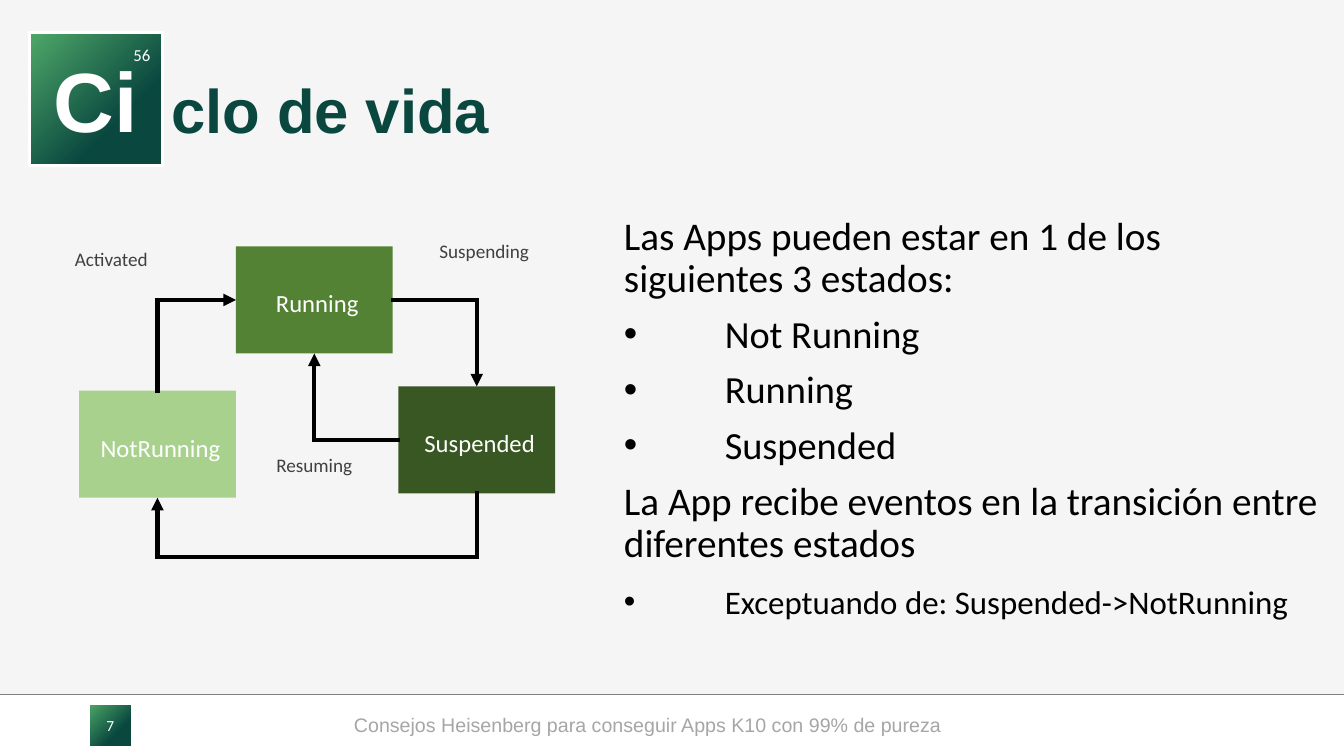
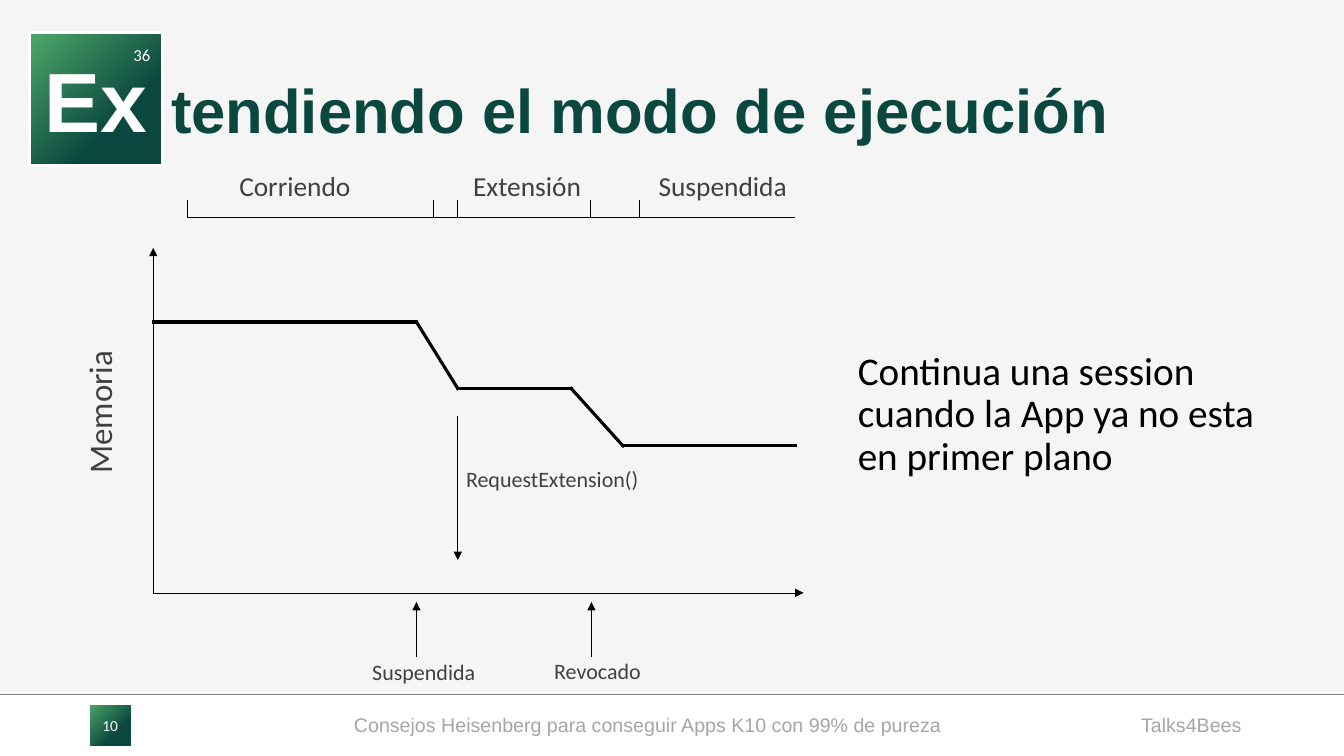
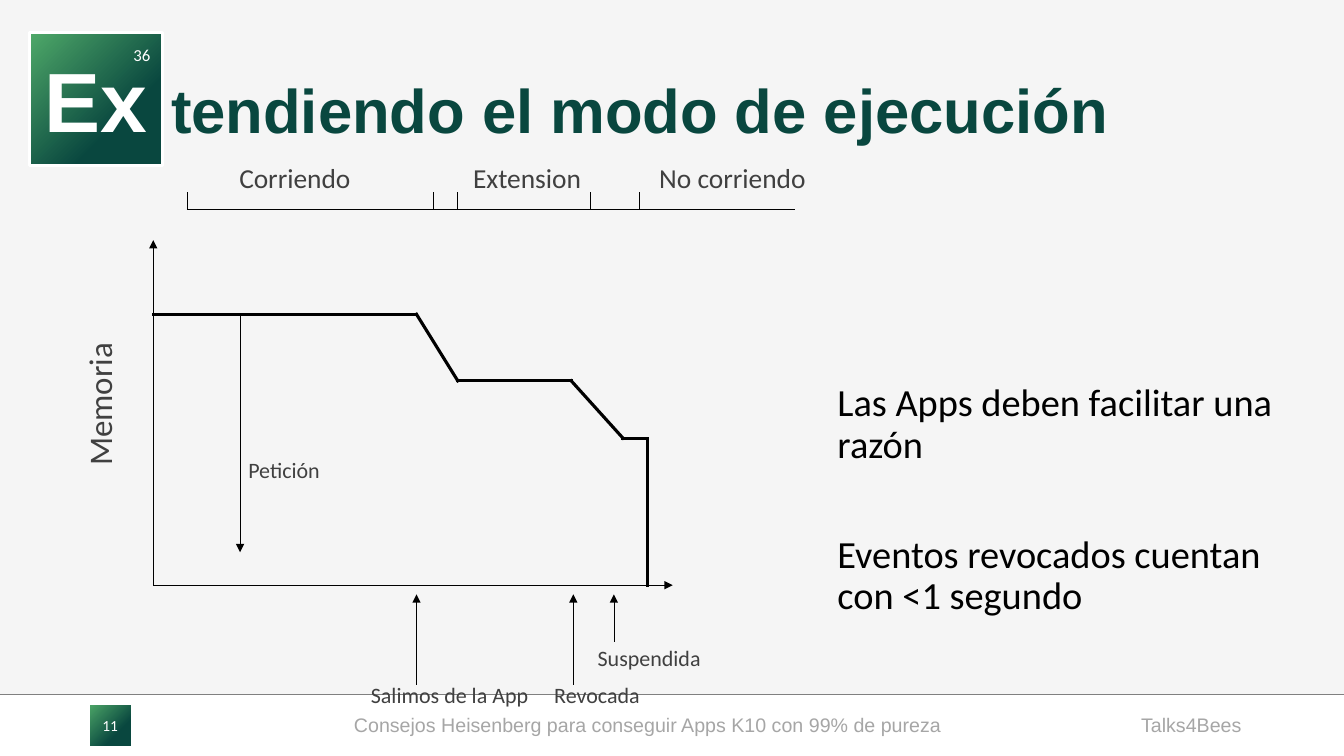
from itertools import pairwise

from lxml import etree
from pptx import Presentation
from pptx.dml.color import RGBColor
from pptx.enum import shapes, text
from pptx.oxml import ns
from pptx.util import Pt

BACKGROUND = RGBColor(0xF5, 0xF5, 0xF5)
WHITE = RGBColor(0xFF, 0xFF, 0xFF)
BLACK = RGBColor(0, 0, 0)
RULE_GRAY = RGBColor(0x80, 0x80, 0x80)
FOOTER_GRAY = RGBColor(0xA6, 0xA6, 0xA6)
LABEL_GRAY = RGBColor(0x40, 0x40, 0x40)
DARK_TEAL = RGBColor(0x09, 0x47, 0x3F)
LEAF_GREEN = RGBColor(0x4F, 0xA9, 0x69)
RUNNING_GREEN = RGBColor(0x54, 0x82, 0x35)
SUSPENDED_GREEN = RGBColor(0x38, 0x57, 0x23)
NOT_RUNNING_GREEN = RGBColor(0xA9, 0xD1, 0x8E)

LEFT, CENTER, RIGHT = text.PP_ALIGN.LEFT, text.PP_ALIGN.CENTER, text.PP_ALIGN.RIGHT
TOP_SIDE, LEFT_SIDE, BOTTOM_SIDE, RIGHT_SIDE = range(4)
SLIDE_W, SLIDE_H = 960, 540
BAND_TOP = 496
INSETS = (7.2, 3.6, 7.2, 3.6)
LABEL_INSETS = (14.4, 11.5, 14.4, 11.5)
FOOTER = "Consejos Heisenberg para conseguir Apps K10 con 99% de pureza"
EVENT = "Talks4Bees"


def pts(*values):
    """Turn numbers into lengths in points."""
    return [Pt(v) for v in values]


def style(p, size, color, font="Calibri", bold=False, align=LEFT):
    """Format a whole paragraph."""
    p.alignment = align
    p.font.size, p.font.name, p.font.bold = Pt(size), font, bold
    p.font.color.rgb = color


def set_frame(tf, insets=INSETS, wrap=True, anchor=text.MSO_ANCHOR.MIDDLE):
    """Set the margins, wrapping and anchor of a text frame."""
    tf.auto_size = text.MSO_AUTO_SIZE.NONE
    tf.word_wrap, tf.vertical_anchor = wrap, anchor
    tf.margin_left, tf.margin_top, tf.margin_right, tf.margin_bottom = pts(*insets)


def add_rect(s, box, fill=None):
    """Add a plain rectangle."""
    sp = s.shapes.add_shape(shapes.MSO_SHAPE.RECTANGLE, *pts(*box))
    sp.shadow.inherit = False
    sp.line.fill.background()
    if fill is not None:
        sp.fill.solid()
        sp.fill.fore_color.rgb = fill
    return sp


def add_text(s, words, box, size, color, font="Calibri", align=LEFT, **frame):
    """Add a text box with one paragraph."""
    sp = s.shapes.add_textbox(*pts(*box))
    set_frame(sp.text_frame, **frame)
    p = sp.text_frame.paragraphs[0]
    p.text = words
    style(p, size, color, font, align=align)
    return sp


def add_label(s, words, box, size):
    """Add a gray diagram label on one line."""
    sp = add_text(s, words, box, size, LABEL_GRAY, insets=LABEL_INSETS, wrap=False,
                  anchor=text.MSO_ANCHOR.TOP)
    sp.text_frame.paragraphs[0].line_spacing = 0.9
    return sp


def add_line(s, start, end, width, color=BLACK, arrow=False):
    """Add a straight line, with an arrowhead at its end if asked."""
    c = s.shapes.add_connector(shapes.MSO_CONNECTOR.STRAIGHT, *pts(*start, *end))
    c.line.width = Pt(width)
    c.line.color.rgb = color
    props = c.element.spPr
    ln = props.find(ns.qn("a:ln"))
    if width > 1:
        ln.set("cap", "sq")
    if arrow:
        etree.SubElement(ln, ns.qn("a:tailEnd"), type="triangle")
    etree.SubElement(props, ns.qn("a:effectLst"))
    return c


def add_route(s, points, width, arrow=False):
    """Add a chain of straight lines and return them."""
    pairs = list(pairwise(points))
    return [add_line(s, a, b, width, arrow=arrow and i == len(pairs) - 1)
            for i, (a, b) in enumerate(pairs)]


def add_tile(s, box, words, size, font="Calibri", bold=False):
    """Add a square with the green gradient and a white border."""
    sp = add_rect(s, box)
    sp.fill.gradient()
    for stop, position, color in zip(sp.fill.gradient_stops, (0.32, 1), (DARK_TEAL, LEAF_GREEN)):
        stop.position, stop.color.rgb = position, color
    grad = sp.element.spPr.find(ns.qn("a:gradFill"))
    grad.remove(grad.find(ns.qn("a:lin")))
    circle = etree.SubElement(grad, ns.qn("a:path"), path="circle")
    etree.SubElement(circle, ns.qn("a:fillToRect"), l="100000", t="100000")
    sp.line.color.rgb = WHITE
    sp.line.width = Pt(2.25)
    set_frame(sp.text_frame, wrap=False)
    p = sp.text_frame.paragraphs[0]
    p.text = words
    style(p, size, WHITE, font, bold, CENTER)


def add_footer(s, number, event):
    """Add the white band with slide number, talk name and event."""
    add_rect(s, (0, BAND_TOP, SLIDE_W, SLIDE_H - BAND_TOP), WHITE)
    add_line(s, (0, BAND_TOP), (SLIDE_W, BAND_TOP), 0.25, RULE_GRAY)
    add_tile(s, (63, 502.5, 31.5, 31.5), number, 11)
    add_text(s, FOOTER, (179.5, 503.5, 566.5, 28.5), 14, FOOTER_GRAY, "Arial", CENTER)
    if event:
        add_text(s, event, (678, 503.5, 216, 28.5), 14, FOOTER_GRAY, "Arial", RIGHT)


def add_heading(s, symbol, atomic_number, rest):
    """Add the element tile and the title that continues it."""
    title = s.shapes.title
    title.left, title.top, title.width, title.height = pts(115, 29, 779, 104)
    set_frame(title.text_frame)
    p = title.text_frame.paragraphs[0]
    p.text = rest
    p.line_spacing = 0.9
    style(p, 44, DARK_TEAL, "Arial", True)
    add_tile(s, (21, 23, 95, 95), symbol, 60, "Arial", True)
    add_text(s, atomic_number, (88, 28, 19.5, 22), 12, WHITE, align=RIGHT,
             insets=(7.2, 3.6, 0, 3.6), wrap=False)


def fill_body(s, box, items):
    """Fill the body with (text, size, space before, bulleted) items."""
    body = s.placeholders[1]
    body.left, body.top, body.width, body.height = pts(*box)
    tf = body.text_frame
    set_frame(tf, anchor=text.MSO_ANCHOR.TOP)
    for i, (words, size, before, bulleted) in enumerate(items):
        p = tf.add_paragraph() if i else tf.paragraphs[0]
        p.text = words
        props = p._p.get_or_add_pPr()
        indent = Pt(72) if bulleted else 0
        props.set("marL", str(indent))
        props.set("indent", str(-indent))
        if bulleted:
            etree.SubElement(props, ns.qn("a:buFont"), typeface="Arial")
            etree.SubElement(props, ns.qn("a:buChar"), char="•")
        else:
            etree.SubElement(props, ns.qn("a:buNone"))
        p.line_spacing = 0.9
        p.space_before, p.space_after = Pt(before), Pt(0)
        style(p, size, BLACK)


def new_slide(prs, number, symbol, atomic_number, rest, event=None):
    """Add a slide with the shared footer and heading."""
    s = prs.slides.add_slide(prs.slide_layouts[1])
    add_footer(s, number, event)
    add_heading(s, symbol, atomic_number, rest)
    return s


def add_state_diagram(s, x, y):
    """Draw the app states and their transitions from a top left corner."""
    w, h = 112, 76.5

    def state(words, dx, dy, fill):
        """Add one state box."""
        sp = add_rect(s, (x + dx, y + dy, w, h), fill)
        set_frame(sp.text_frame, (7.2, 7.2, 2.9, 2.9))
        p = sp.text_frame.paragraphs[0]
        p.text = words
        style(p, 17.6, WHITE, align=CENTER)
        return sp

    running = state("Running", 112, 0, RUNNING_GREEN)
    suspended = state("Suspended", 228, 100, SUSPENDED_GREEN)
    not_running = state("NotRunning", 0, 103, NOT_RUNNING_GREEN)

    run_x, run_y = x + 112 + w / 2, y + h / 2
    sus_x, sus_y = x + 228 + w / 2, y + 100 + h / 2
    not_x, low_y = x + w / 2, y + 222
    transitions = [
        (running, RIGHT_SIDE, suspended, TOP_SIDE,
         [(x + 112 + w, run_y), (sus_x, run_y), (sus_x, y + 100)]),
        (suspended, BOTTOM_SIDE, not_running, BOTTOM_SIDE,
         [(sus_x, y + 100 + h), (sus_x, low_y), (not_x, low_y), (not_x, y + 103 + h)]),
        (not_running, TOP_SIDE, running, LEFT_SIDE,
         [(not_x, y + 103), (not_x, run_y), (x + 112, run_y)]),
        (suspended, LEFT_SIDE, running, BOTTOM_SIDE,
         [(x + 228, sus_y), (run_x, sus_y), (run_x, y + h)]),
    ]
    for source, source_side, target, target_side, points in transitions:
        lines = add_route(s, points, 3, arrow=True)
        lines[0].begin_connect(source, source_side)
        lines[-1].end_connect(target, target_side)

    for words, dx, dy, width in [("Activated", -17.5, -9, 81.5), ("Suspending", 243, -15, 93.5),
                                 ("Resuming", 126.5, 138, 83.5)]:
        add_label(s, words, (x + dx, y + dy, width, 37.5), 13.7)


def add_memory_chart(s, x, y, axis_end, trace_end, phases, arrows, labels):
    """Draw memory use over time; x is the axis, y the phase bracket."""
    axis_y = y + 268.5
    add_line(s, (x, axis_y), (x, y + 22), 0.5, arrow=True)
    add_line(s, (x, axis_y), (x + axis_end, axis_y), 0.5, arrow=True)
    add_line(s, (x + 24, y), (x + 458.5, y), 0.5)
    for dx in (24, 200, 217.5, 312, 347):
        add_line(s, (x + dx, y), (x + dx, y - 12), 0.5)

    trace = [(0, 75), (188, 75), (217.5, 122.5), (298.5, 122.5), (335.5, 163.5), *trace_end]
    add_route(s, [(x + dx, y + dy) for dx, dy in trace], 2.25)
    for dx, start, end in arrows:
        add_line(s, (x + dx, y + start), (x + dx, y + end), 0.5, arrow=True)

    for words, dx, width in phases:
        add_label(s, words, (x + dx, y - 43, width, 44), 19.6)
    for words, dx, dy, width in labels:
        add_label(s, words, (x + dx, y + dy, width, 39.5), 15.7)
    add_label(s, "Memoria", (x - 96, y + 115, 117.5, 48), 23.5).rotation = 270


def build_life_cycle(prs):
    """Build the slide on the app life cycle."""
    s = new_slide(prs, "7", "Ci", "56", "clo de vida")
    fill_body(s, (438.5, 151, 512, 278), [
        ("Las Apps pueden estar en 1 de los siguientes 3 estados:", 28, 0, False),
        ("Not Running", 27.4, 10, True),
        ("Running", 27.4, 10, True),
        ("Suspended", 27.4, 10, True),
        ("La App recibe eventos en la transición entre diferentes estados", 28, 10, False),
        ("Exceptuando de: Suspended->NotRunning", 23.5, 14, True),
    ])
    add_state_diagram(s, 56.5, 176)


def build_extension(prs, number, body_box, items, chart_y, phases, **chart):
    """Build a slide on extended execution."""
    s = new_slide(prs, number, "Ex", "36", "tendiendo el modo de ejecución", EVENT)
    fill_body(s, body_box, items)
    add_memory_chart(s, 109.5, chart_y, phases=[("Corriendo", 47, 109), *phases], **chart)


def main():
    """Build and save the presentation."""
    prs = Presentation()
    prs.slide_width, prs.slide_height = pts(SLIDE_W, SLIDE_H)
    fill = prs.slide_master.background.fill
    fill.solid()
    fill.fore_color.rgb = BACKGROUND

    build_life_cycle(prs)
    build_extension(
        prs, "10", (605.5, 247.5, 317.5, 107.5),
        [("Continua una session cuando la App ya no esta en primer plano", 28, 0, False)],
        chart_y=155, axis_end=464.5, trace_end=[(458.5, 163.5)],
        phases=[("Extensión", 214, 106.5), ("Suspendida", 346.5, 121)],
        arrows=[(188, 314, 275), (217.5, 142.5, 245), (313, 314, 275)],
        labels=[("Suspendida", 142, 306, 103), ("RequestExtension()", 209, 168, 152.5),
                ("Revocado", 272, 305, 91)])
    build_extension(
        prs, "11", (591, 270.5, 341.5, 175),
        [("Las Apps deben facilitar una razón", 27.4, 0, False),
         ("Eventos revocados cuentan con <1 segundo", 27.4, 49, False)],
        chart_y=149.5, axis_end=371, trace_end=[(353, 163.5), (353, 268.5)],
        phases=[("Extension", 214, 106.5), ("No corriendo", 347, 134)],
        arrows=[(188, 339.5, 275), (62, 75, 245), (300, 339.5, 275), (329, 309, 275)],
        labels=[("Salimos de la App", 141, 328, 142), ("Petición", 53.5, 167.5, 80),
                ("Revocada", 272, 328, 90), ("Suspendida", 303, 301.5, 103)])
    prs.save("out.pptx")


if __name__ == "__main__":
    main()
